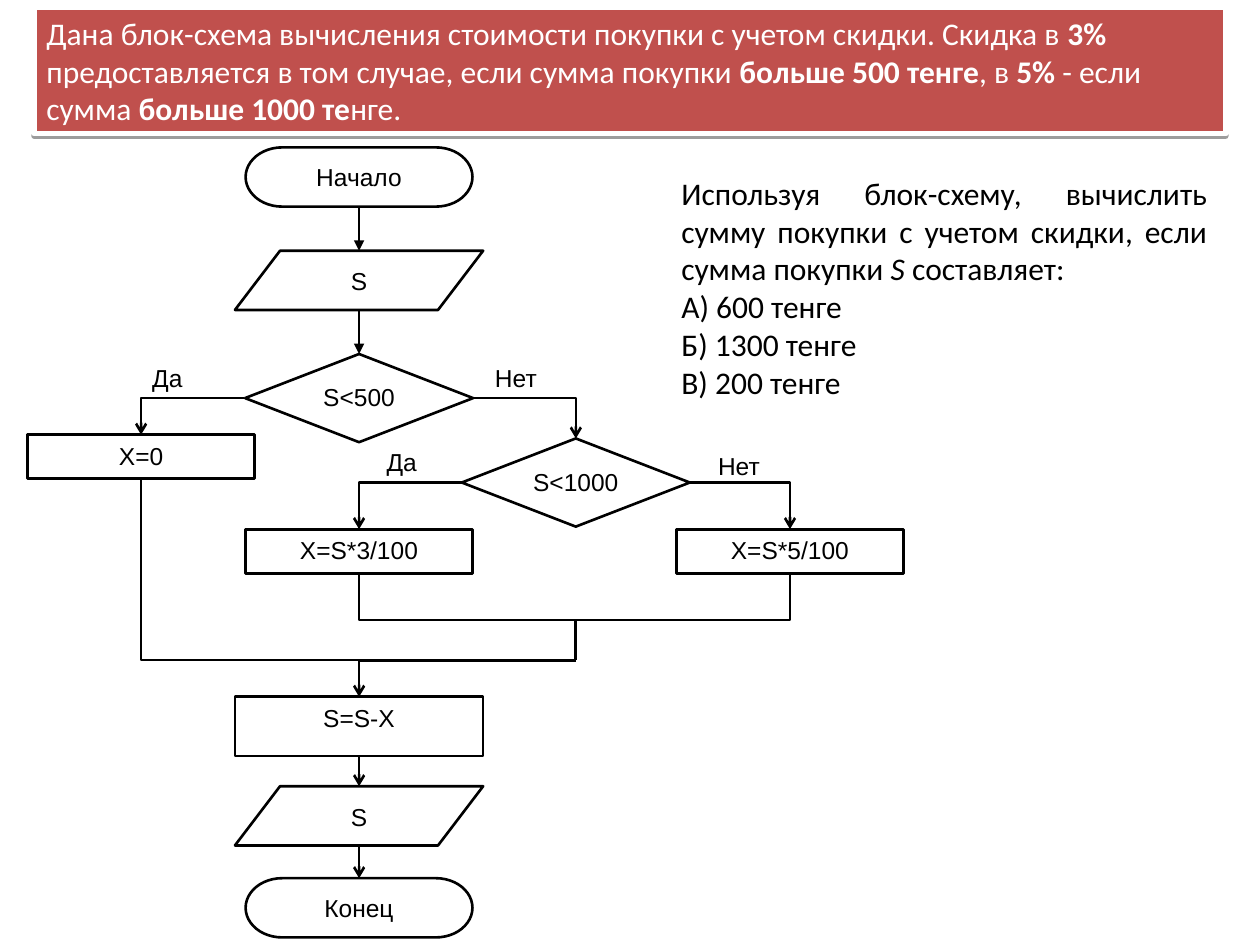
"""Build a slide with a flowchart that computes a purchase discount."""
from lxml import etree
from pptx import Presentation
from pptx.dml.color import RGBColor
from pptx.enum.shapes import MSO_CONNECTOR, MSO_SHAPE
from pptx.enum.text import MSO_ANCHOR, PP_ALIGN
from pptx.oxml import parse_xml
from pptx.oxml.ns import nsdecls, qn
from pptx.util import Inches, Pt

TERMINATOR = MSO_SHAPE.FLOWCHART_TERMINATOR
DATA = MSO_SHAPE.PARALLELOGRAM
DECISION = MSO_SHAPE.DIAMOND
PROCESS = MSO_SHAPE.RECTANGLE
STRAIGHT, ELBOW = MSO_CONNECTOR.STRAIGHT, MSO_CONNECTOR.ELBOW
LEFT, CENTER, JUSTIFY = PP_ALIGN.LEFT, PP_ALIGN.CENTER, PP_ALIGN.JUSTIFY
TOP, MIDDLE = MSO_ANCHOR.TOP, MSO_ANCHOR.MIDDLE

BLACK = RGBColor(0x00, 0x00, 0x00)
WHITE = RGBColor(0xFF, 0xFF, 0xFF)
RED = RGBColor(0xC0, 0x50, 0x4D)

HEADER = [[
    ("Дана блок-схема вычисления стоимости покупки с учетом скидки. Скидка в ", ""),
    ("3%", "b"),
    (" предоставляется в том случае, если сумма покупки ", ""),
    ("больше 500 тенге", "b"), (", в ", ""), ("5%", "b"), (" - если сумма ", ""),
    ("больше 1000 те", "b"), ("нге.", ""),
]]
TASK = [
    [("Используя блок-схему, вычислить сумму покупки с учетом скидки, "
      "если сумма покупки ", ""), ("S ", "i"), ("составляет:", "")],
    [("А) 600 тенге", "")],
    [("Б) 1300 тенге", "")],
    [("В) 200 тенге", "")],
]

X_ZERO, X_MAIN, X_SECOND, X_FIVE = 1.12, 2.85, 4.57, 6.27
Y_FIRST, Y_SECOND, Y_MERGE, Y_JOIN = 3.16, 3.83, 4.92, 5.24

BLOCKS = [
    (TERMINATOR, "Начало", X_MAIN, 1.17, 1.8, 0.47),
    (DATA, "S", X_MAIN, 1.99, 1.97, 0.47),
    (DECISION, "S<500", X_MAIN, 2.81, 1.81, 0.7),
    (PROCESS, "X=0", X_ZERO, 3.45, 1.8, 0.35),
    (DECISION, "S<1000", X_SECOND, 3.48, 1.81, 0.7),
    (PROCESS, "Х=S*3/100", X_MAIN, 4.2, 1.8, 0.35),
    (PROCESS, "Х=S*5/100", X_FIVE, 4.2, 1.8, 0.35),
    (PROCESS, "S=S-X", X_MAIN, 5.53, 1.97, 0.47),
    (DATA, "S", X_MAIN, 6.24, 1.97, 0.47),
    (TERMINATOR, "Конец", X_MAIN, 6.97, 1.8, 0.47),
]
LABELS = [("Да", 1.11, 2.83), ("Нет", 3.83, 2.83), ("Да", 2.97, 3.5), ("Нет", 5.6, 3.53)]
LINES = [
    (STRAIGHT, X_MAIN, 1.64, X_MAIN, 1.99, "triangle"),
    (STRAIGHT, X_MAIN, 2.46, X_MAIN, 2.81, "triangle"),
    (ELBOW, 1.94, Y_FIRST, X_ZERO, 3.45, "arrow"),
    (ELBOW, 3.75, Y_FIRST, X_SECOND, 3.48, "arrow"),
    (ELBOW, 3.67, Y_SECOND, X_MAIN, 4.2, "arrow"),
    (ELBOW, 5.47, Y_SECOND, X_FIVE, 4.2, "arrow"),
    (ELBOW, X_SECOND, Y_MERGE, X_MAIN, 4.55, None),
    (ELBOW, X_SECOND, Y_MERGE, X_FIVE, 4.55, None),
    (STRAIGHT, X_SECOND, Y_MERGE, X_SECOND, Y_JOIN, None),
    (STRAIGHT, X_SECOND, Y_JOIN, X_MAIN, Y_JOIN, None),
    (ELBOW, X_MAIN, Y_JOIN, X_ZERO, 3.8, None),
    (STRAIGHT, X_MAIN, Y_JOIN, X_MAIN, 5.53, "arrow"),
    (STRAIGHT, X_MAIN, 6, X_MAIN, 6.24, "arrow"),
    (STRAIGHT, X_MAIN, 6.71, X_MAIN, 6.97, "arrow"),
]
SHADOW = (f'<a:effectLst {nsdecls("a")}><a:outerShdw dist="20320" dir="5400000" '
          'rotWithShape="0"><a:srgbClr val="000000"><a:alpha val="38000"/>'
          '</a:srgbClr></a:outerShdw></a:effectLst>')


def write(sp, paragraphs, size, font, color, align=LEFT, anchor=TOP):
    tf = sp.text_frame
    tf.word_wrap = True
    tf.vertical_anchor = anchor
    for i, runs in enumerate(paragraphs):
        p = tf.add_paragraph() if i else tf.paragraphs[0]
        p.alignment = align if i == 0 else LEFT
        for text, style in runs:
            r = p.add_run()
            r.text = text
            r.font.size, r.font.name = Pt(size), font
            r.font.bold, r.font.italic = style == "b", style == "i"
            r.font.color.rgb = color


def add_block(s, kind, box, fill, line, width):
    sp = s.shapes.add_shape(kind, *map(Inches, box))
    sp.shadow.inherit = False
    sp.fill.solid()
    sp.fill.fore_color.rgb = fill
    sp.line.color.rgb = line
    sp.line.width = Pt(width)
    if kind == DATA:
        sp.adjustments[0] = 0.762
    return sp


def add_line(s, kind, x1, y1, x2, y2, head):
    cn = s.shapes.add_connector(kind, *map(Inches, (x1, y1, x2, y2)))
    cn.line.color.rgb = BLACK
    cn.line.width = Pt(1.5)
    sp_pr = cn._element.spPr
    if kind == ELBOW:
        sp_pr.find(qn("a:prstGeom")).set("prst", "bentConnector2")
    if head:
        etree.SubElement(sp_pr.find(qn("a:ln")), qn("a:tailEnd"), type=head)
    etree.SubElement(sp_pr, qn("a:effectLst"))


def main():
    prs = Presentation()
    prs.slide_width, prs.slide_height = Inches(10), Inches(7.5)
    s = prs.slides.add_slide(prs.slide_layouts[6])

    header = add_block(s, PROCESS, (0.27, 0.06, 9.46, 1), RED, WHITE, 3)
    sp_pr = header._element.spPr
    sp_pr.replace(sp_pr.find(qn("a:effectLst")), parse_xml(SHADOW))
    write(header, HEADER, 18, "Calibri", WHITE, anchor=MIDDLE)

    task = s.shapes.add_textbox(*map(Inches, (5.31, 1.33, 4.37, 1.9)))
    write(task, TASK, 18, "Calibri", BLACK, JUSTIFY)

    for kind, text, x, y, w, h in BLOCKS:
        sp = add_block(s, kind, (x - w / 2, y, w, h), WHITE, BLACK, 1.5)
        write(sp, [[(text, "")]], 14, "Arial", BLACK, CENTER)
    for text, x, y in LABELS:
        sp = s.shapes.add_textbox(*map(Inches, (x, y, 1.15, 0.35)))
        write(sp, [[(text, "")]], 14, "Arial", BLACK)
    for line in LINES:
        add_line(s, *line)

    prs.save("out.pptx")


if __name__ == "__main__":
    main()
